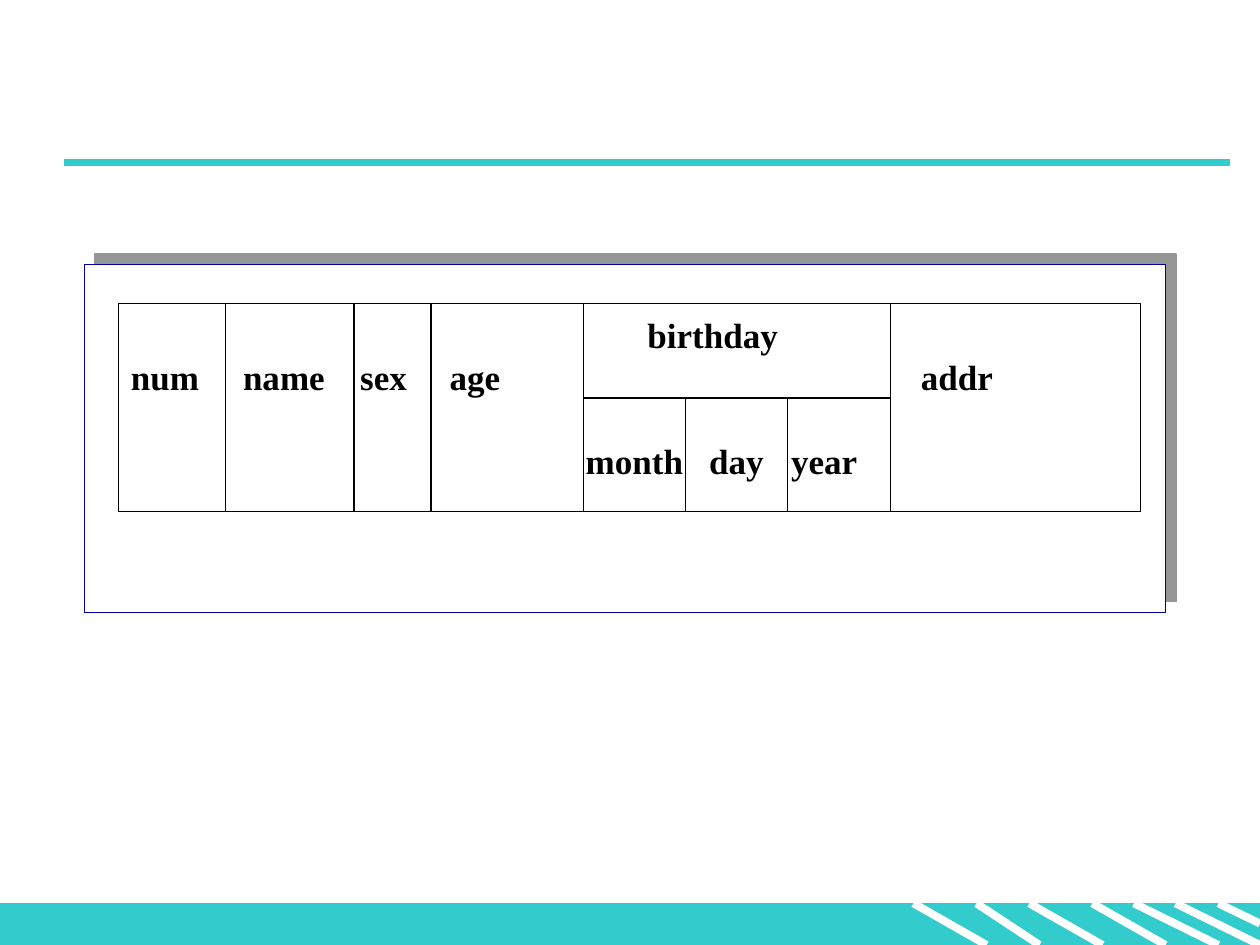
from lxml.etree import SubElement as Sub
from pptx import Presentation
from pptx.dml.color import RGBColor as RGB
from pptx.enum.shapes import MSO_CONNECTOR as Conn, MSO_SHAPE as Geo
from pptx.enum.text import MSO_ANCHOR as Anchor, PP_ALIGN as Align
from pptx.oxml.ns import qn
from pptx.util import Inches, Pt

HUES = {"teal": "33CCCC", "white": "FFFFFF", "black": "000000",
        "navy": "000099", "gray": "969696"}


def hue(name):
    return RGB.from_string(HUES[name])


def write(par, text, stops=(), size=20, color="black", bold=True, before=0):
    """Fill a paragraph whose tab stops are given in inches."""
    par.alignment = Align.LEFT
    par.line_spacing = Pt(24)
    par.space_before = Pt(before)
    tabs = Sub(par._p.get_or_add_pPr(), qn("a:tabLst"))
    for stop in stops:
        Sub(tabs, qn("a:tab"), pos=str(Inches(stop)), algn="l")
    run = par.add_run()
    run.text = text
    font = run.font
    font.name, font.size, font.bold = "Times New Roman", Pt(size), bold
    font.color.rgb = hue(color)


class Board:
    def __init__(self, slide):
        self.shapes = slide.shapes

    def rect(self, x, y, w, h, fill, edge):
        box = self.shapes.add_shape(Geo.RECTANGLE, Inches(x), Inches(y),
                                    Inches(w), Inches(h))
        box.shadow.inherit = False
        box.fill.solid()
        box.fill.fore_color.rgb = hue(fill)
        box.line.color.rgb = hue(edge)
        box.line.width = Pt(0.75)
        return box

    def line(self, x1, y1, x2, y2, color="black", width=0.75):
        rule = self.shapes.add_connector(Conn.STRAIGHT, Inches(x1), Inches(y1),
                                         Inches(x2), Inches(y2))
        rule.line.color.rgb = hue(color)
        rule.line.width = Pt(width)
        Sub(rule._element.spPr, qn("a:effectLst"))

    def shade(self, box, color, dist, angle):
        """Give a box a hard shadow: distance in points, angle in degrees."""
        effects = box._element.spPr.find(qn("a:effectLst"))
        cast = Sub(effects, qn("a:outerShdw"), dist=str(Pt(dist)),
                   dir=str(angle * 60000), algn="ctr", rotWithShape="0")
        Sub(cast, qn("a:srgbClr"), val=HUES[color])

    def text(self, box, rows):
        frame = box.text_frame
        frame.word_wrap = True
        frame.vertical_anchor = Anchor.TOP
        frame.margin_top = Inches(0.08)
        for i, (words, stops, before) in enumerate(rows):
            par = frame.add_paragraph() if i else frame.paragraphs[0]
            write(par, words, stops, before=before)


def main():
    deck = Presentation()
    deck.slide_width, deck.slide_height = Inches(10), Inches(7.5)
    board = Board(deck.slides.add_slide(deck.slide_layouts[6]))

    # Footer band and its slanted stripes
    top, base = 7.17, 7.5
    board.rect(0, top, 10, base - top, "teal", "teal")
    stripes = [(7.25, 7.83), (7.75, 8.25), (8.17, 8.75), (8.67, 9.25),
               (9, 9.67), (9.33, 10)]
    for start, end in stripes:
        board.line(start, top, end, base, "white", 4.5)
    board.line(9.67, top, 10, 7.33, "white", 4.5)
    board.line(0.51, 1.29, 9.76, 1.29, "teal", 4.5)

    panel = board.rect(0.67, 2.1, 8.58, 2.76, "white", "navy")
    board.shade(panel, "gray", 8.5, 315)

    # Record layout: fields, with birthday split in three
    left, head, mid, foot = 0.94, 2.41, 3.16, 4.06
    record = board.rect(left, head, 8.11, foot - head, "white", "black")
    board.text(record, [
        ("\tbirthday", [4.1], 0),
        ("num\tname\tsex\tage\taddr", [0.89, 1.82, 2.53, 6.27], 0),
        ("\tmonth\tday\tyear", [3.61, 4.59, 5.24], 24),
    ])
    for x in (1.79, 2.81, 3.42, 4.63, 7.07):
        board.line(x, head, x, foot)
    board.line(4.63, mid, 7.07, mid)
    for x in (5.44, 6.25):
        board.line(x, mid, x, foot)

    deck.save("out.pptx")


if __name__ == "__main__":
    main()
